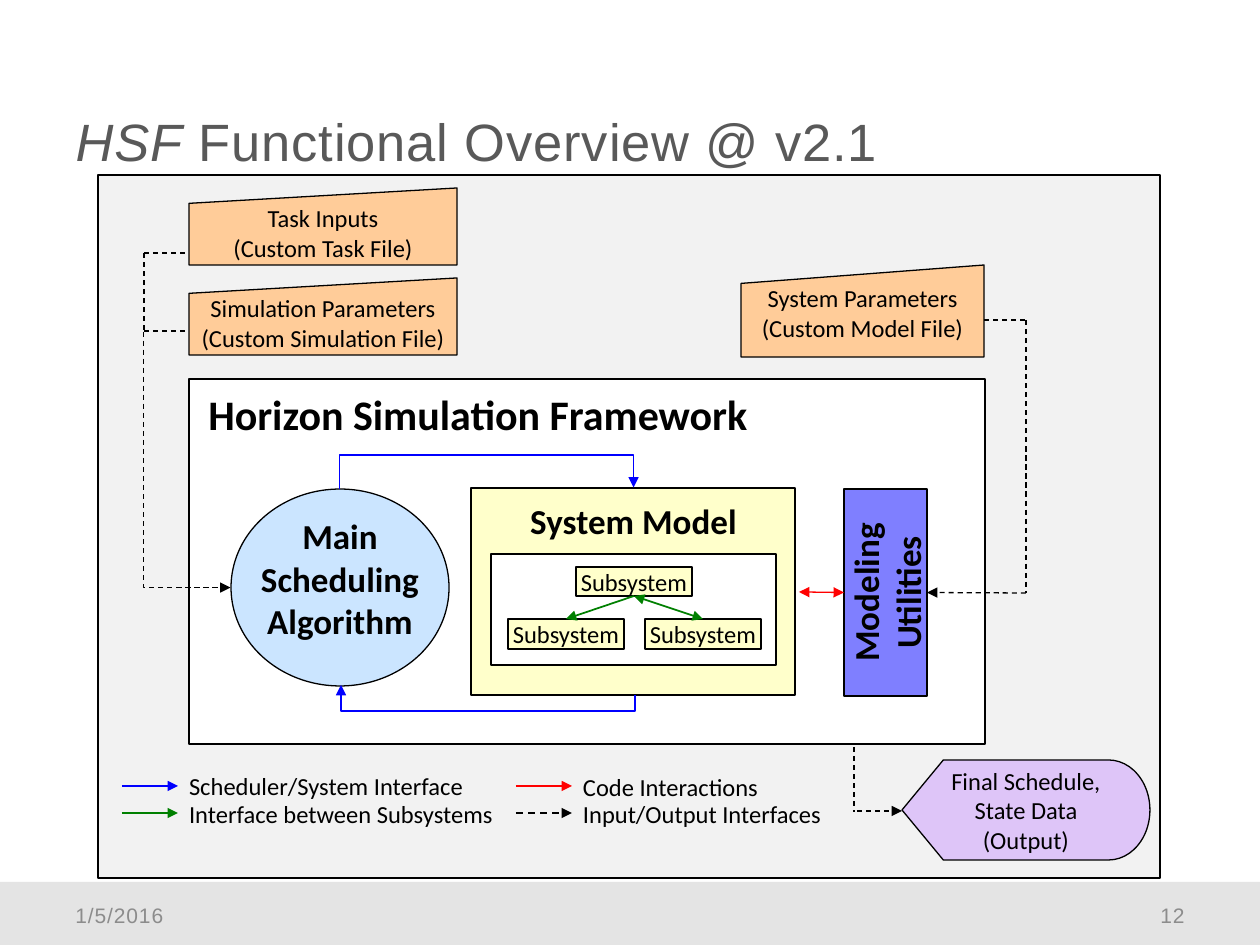
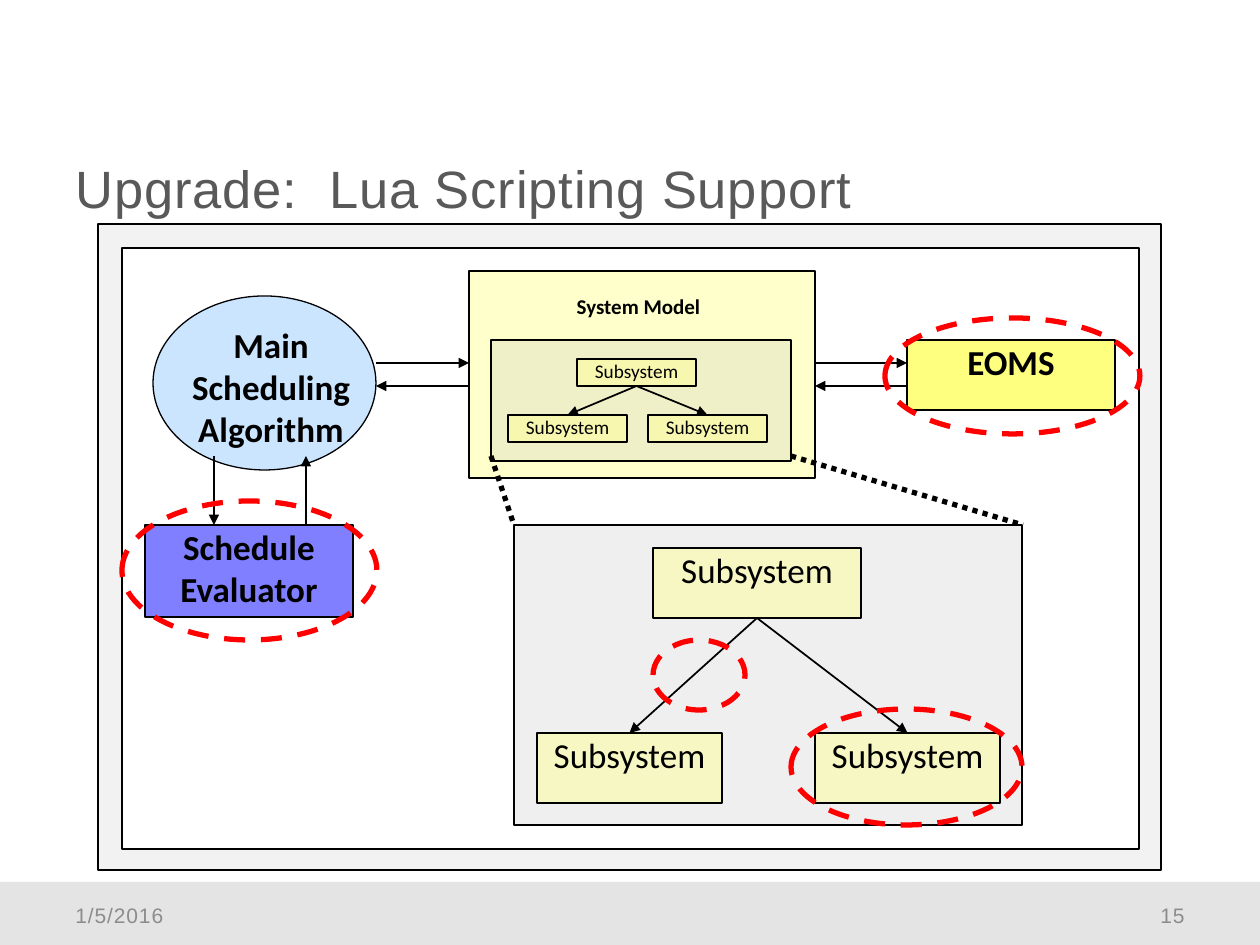
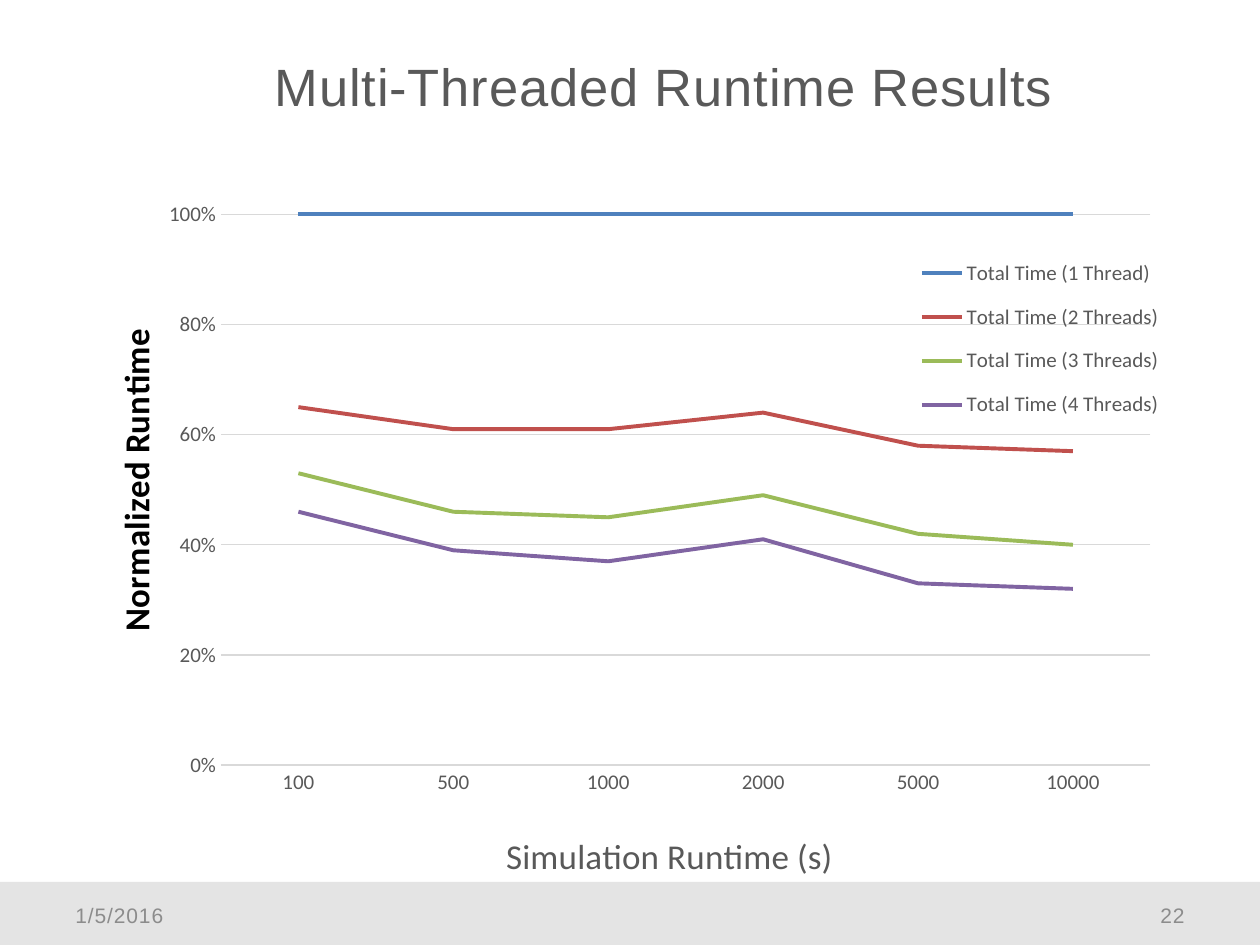
from dataclasses import dataclass
from lxml import etree
from pptx import Presentation
from pptx.chart.data import CategoryChartData
from pptx.dml.color import RGBColor
from pptx.enum.chart import XL_CHART_TYPE, XL_LEGEND_POSITION, XL_TICK_MARK
from pptx.enum.dml import MSO_LINE
from pptx.enum.shapes import MSO_CONNECTOR, MSO_SHAPE as FORM
from pptx.enum.text import MSO_ANCHOR, MSO_AUTO_SIZE, PP_ALIGN as ALIGN
from pptx.oxml.ns import qn
from pptx.util import Inches, Pt

EMU_PER_PX = 914400 / 126

COLORS = {
    "band": "E4E4E4", "title": "595959", "footer": "8C8C8C", "grid": "D9D9D9",
    "black": "000000", "white": "FFFFFF", "silver": "C0C0C0", "sky": "99CCFF",
    "peach": "FFCC99", "violet": "CC99FF", "cream": "FFFF99", "yellow": "FFFF00",
    "blue": "0000FF", "green": "008000", "red": "FF0000",
}


@dataclass
class Style:
    form: object = FORM.RECTANGLE
    fill: str = ""
    alpha: int = 100
    size: int = 14
    bold: bool = False
    align: object = ALIGN.CENTER
    inset: tuple = (0, 0, 0, 0)
    vert: str = ""


PADDED = (13, 6, 13, 6)
STYLES = {
    "backdrop": Style(fill="silver", alpha=20),
    "frame": Style(fill="white"),
    "inset": Style(fill="silver", alpha=25),
    "scheduler": Style(FORM.FLOWCHART_CONNECTOR, "sky", 50),
    "input": Style(FORM.FLOWCHART_MANUAL_INPUT, "peach"),
    "output": Style(FORM.FLOWCHART_DISPLAY, "violet", 50, inset=(0, 6, 0, 0)),
    "model": Style(fill="cream", alpha=50),
    "small model": Style(fill="cream", alpha=50, size=11),
    "large model": Style(fill="cream", alpha=50, size=20),
    "utility": Style(fill="blue", alpha=50, size=20, bold=True, vert="vert270"),
    "evaluator": Style(fill="blue", alpha=50, size=20, bold=True),
    "equations": Style(fill="yellow", alpha=50, size=20, bold=True),
    "key": Style(None, align=ALIGN.LEFT),
    "heading": Style(None, size=24, bold=True, inset=PADDED),
    "wrapped": Style(None, size=20, bold=True, inset=PADDED),
    "caption": Style(None, size=20, bold=True),
    "small caption": Style(None, size=12, bold=True),
}

OVERVIEW = {
    "backdrop": ("backdrop", (98, 175, 1062, 703), ""),
    "framework": ("frame", (189, 379, 796, 365), ""),
    "framework name": ("heading", (166, 383, 624, 53), "Horizon Simulation Framework"),
    "scheduler": ("scheduler", (231, 489, 218, 197), ""),
    "scheduler name": ("wrapped", (239, 509, 202, 140), "Main Scheduling Algorithm"),
    "task": ("input", (189, 188, 268, 77), "Task Inputs\n(Custom Task File)"),
    "simulation": ("input", (189, 278, 268, 77),
                   "Simulation Parameters (Custom Simulation File)"),
    "system": ("input", (741, 265, 243, 92), "System Parameters (Custom Model File)"),
    "output": ("output", (902, 760, 248, 100), "Final Schedule, State Data (Output)"),
    "model": ("model", (471, 488, 324, 207), ""),
    "model name": ("caption", (489, 500, 289, 40), "System Model"),
    "subsystems": ("frame", (491, 554, 285, 111), ""),
    "parent": ("model", (576, 567, 116, 29), "Subsystem"),
    "left child": ("model", (508, 619, 116, 30), "Subsystem"),
    "right child": ("model", (645, 619, 116, 30), "Subsystem"),
    "utilities": ("utility", (844, 489, 83, 207), "Modeling Utilities"),
    "scheduler key": ("key", (189, 771, 319, 29), "Scheduler/System Interface"),
    "subsystem key": ("key", (189, 799, 319, 31), "Interface between Subsystems"),
    "code key": ("key", (583, 772, 251, 28), "Code Interactions"),
    "file key": ("key", (583, 799, 251, 28), "Input/Output Interfaces"),
}
OVERVIEW_LINKS = [
    (("parent", 2), ("left child", 0), "green", 1, None, "tail"),
    (("parent", 2), ("right child", 0), "green", 1, None, "both"),
    ((799, 592), ("utilities", 1), "red", 0.75, None, "both"),
    ((144, 253), (189, 253), "black", 0.75, MSO_LINE.DASH, ""),
    ((144, 331), (189, 331), "black", 0.75, MSO_LINE.DASH, ""),
    ((144, 253), (144, 331), "black", 0.75, MSO_LINE.DASH, ""),
    ((984, 320), (1026, 320), "black", 0.75, MSO_LINE.DASH, ""),
    ((1026, 320), (1026, 593), "black", 0.75, MSO_LINE.DASH, ""),
    ((1026, 593), ("utilities", 3), "black", 0.75, MSO_LINE.DASH, "tail"),
    ((854, 747), (854, 812), "black", 0.75, MSO_LINE.DASH, ""),
    ((857, 811), (902, 811), "black", 0.75, MSO_LINE.DASH, "tail"),
    ((122, 786), (178, 786), "blue", 1, None, "tail"),
    ((122, 813), (178, 813), "green", 1, None, "tail"),
    ((516, 786), (572, 786), "red", 1, None, "tail"),
    ((516, 813), (572, 813), "black", 1, MSO_LINE.DASH, "tail"),
]
OVERVIEW_ELBOWS = [
    ("bentConnector3", (486, 341, 1, 294), "", 34, "blue", 1, None),
    ("bentConnector3", (483, 543, 10, 294), "flipV", -1.6, "blue", 1, None),
    ("bentConnector2", (59, 416, 256, 87), "flipH", None, "black", 0.75, MSO_LINE.DASH),
]

SCRIPTING = {
    "backdrop": ("backdrop", (98, 224, 1063, 646), ""),
    "framework": ("frame", (122, 248, 1017, 601), ""),
    "model": ("model", (469, 271, 346, 207), ""),
    "model name": ("small caption", (491, 294, 295, 36), "System Model"),
    "subsystems": ("inset", (491, 340, 300, 121), ""),
    "parent": ("small model", (577, 359, 119, 27), "Subsystem"),
    "left child": ("small model", (508, 415, 119, 27), "Subsystem"),
    "right child": ("small model", (648, 415, 119, 27), "Subsystem"),
    "equations": ("equations", (907, 340, 208, 70), "EOMS"),
    "scheduler": ("scheduler", (153, 296, 223, 174), ""),
    "scheduler name": ("wrapped", (168, 318, 206, 125), "Main Scheduling Algorithm"),
    "evaluator": ("evaluator", (145, 525, 208, 92), "Schedule\nEvaluator"),
    "detail": ("inset", (514, 525, 508, 300), ""),
    "large parent": ("large model", (653, 548, 208, 70), "Subsystem"),
    "large left child": ("large model", (537, 733, 185, 70), "Subsystem"),
    "large right child": ("large model", (815, 733, 185, 70), "Subsystem"),
}
SCRIPTING_LINKS = [
    (("parent", 2), ("left child", 0), "black", 1, None, "tail"),
    (("parent", 2), ("right child", 0), "black", 1, None, "tail"),
    (("large parent", 2), ("large left child", 0), "black", 1, None, "tail"),
    (("large parent", 2), ("large right child", 0), "black", 1, None, "tail"),
    ((815, 363), (907, 363), "black", 1, None, "tail"),
    ((907, 386), (815, 386), "black", 1, None, "tail"),
    ((376, 363), (469, 363), "black", 0.75, None, "tail"),
    ((469, 386), (376, 386), "black", 0.75, None, "tail"),
    ((214, 456), (214, 525), "black", 0.75, None, "tail"),
    ((306, 525), (306, 456), "black", 0.75, None, "tail"),
    ((491, 456), (514, 525), "black", 3, MSO_LINE.ROUND_DOT, ""),
    ((791, 456), (1023, 525), "black", 3, MSO_LINE.ROUND_DOT, ""),
]
RINGS = [(122, 501, 255, 139), (885, 318, 255, 116), (791, 709, 231, 116), (653, 640, 92, 70)]

RUNTIMES = ["100", "500", "1000", "2000", "5000", "10000"]
SERIES = [
    ("Total Time (1 Thread)", "4F81BD", (1, 1, 1, 1, 1, 1)),
    ("Total Time (2 Threads)", "C0504D", (0.65, 0.61, 0.61, 0.64, 0.58, 0.57)),
    ("Total Time (3 Threads)", "9BBB59", (0.53, 0.46, 0.45, 0.49, 0.42, 0.4)),
    ("Total Time (4 Threads)", "8064A2", (0.46, 0.39, 0.37, 0.41, 0.33, 0.32)),
]


def px(*lengths):
    return [round(length * EMU_PER_PX) for length in lengths]


def rgb(name):
    return RGBColor.from_string(COLORS.get(name, name))


def set_font(font, size, color, bold=False, name="Calibri"):
    font.name, font.size, font.bold = name, Pt(size), bold
    font.color.rgb = rgb(color)


def set_line(line, color, weight, dash=None):
    line.color.rgb = rgb(color)
    line.width = Pt(weight)
    if dash:
        line.dash_style = dash


def set_insets(frame, inset):
    (frame.margin_left, frame.margin_top,
     frame.margin_right, frame.margin_bottom) = px(*inset)


def space_letters(shape):
    for properties in shape.element.iter(qn("a:rPr")):
        properties.set("spc", "50")


def add_footer(page, left, text, align):
    box = page.shapes.add_textbox(*px(left, 890, 294, 50))
    frame = box.text_frame
    frame.word_wrap = True
    frame.vertical_anchor = MSO_ANCHOR.MIDDLE
    frame.text = text
    para = frame.paragraphs[0]
    para.alignment = align
    set_font(para.runs[0].font, 12, "footer", name="Arial")
    space_letters(box)


def add_page(deck, number, title_box, spans):
    page = deck.slides.add_slide(deck.slide_layouts[5])
    title = page.shapes.title
    title.left, title.top, title.width, title.height = px(*title_box)
    frame = title.text_frame
    frame.auto_size = MSO_AUTO_SIZE.NONE
    frame.vertical_anchor = MSO_ANCHOR.MIDDLE
    para = frame.paragraphs[0]
    para.alignment, para.line_spacing = ALIGN.LEFT, 1.2
    for text, italic in spans:
        span = para.add_run()
        span.text = text
        set_font(span.font, 30, "title", name="Arial")
        span.font.italic = italic
    space_letters(title)
    add_footer(page, 63, "1/5/2016", ALIGN.LEFT)
    add_footer(page, 903, number, ALIGN.RIGHT)
    return page


def add_band(deck, page):
    band = page.shapes.add_shape(FORM.RECTANGLE, *px(0, 882, 1260, 63))
    band.shadow.inherit = False
    band.fill.solid()
    band.fill.fore_color.rgb = rgb("band")
    band.line.fill.background()
    deck.slide_master.shapes.element.insert(2, band.element)


def add_box(page, style_name, bounds, text):
    style = STYLES[style_name]
    if style.form is None:
        box = page.shapes.add_textbox(*px(*bounds))
    else:
        box = page.shapes.add_shape(style.form, *px(*bounds))
        box.shadow.inherit = False
        box.fill.solid()
        box.fill.fore_color.rgb = rgb(style.fill)
        if style.alpha < 100:
            color = box.element.find(".//" + qn("a:srgbClr"))
            etree.SubElement(color, qn("a:alpha"), val=str(style.alpha * 1000))
        set_line(box.line, "black", 0.75)
    if text:
        frame = box.text_frame
        frame.word_wrap = True
        frame.vertical_anchor = MSO_ANCHOR.TOP
        set_insets(frame, style.inset)
        if style.vert:
            box.element.find(".//" + qn("a:bodyPr")).set("vert", style.vert)
        frame.text = text
        for para in frame.paragraphs:
            para.alignment = style.align
            set_font(para.runs[0].font, style.size, "black", style.bold)
    return box


def finish_link(link, color, weight, dash, arrows):
    set_line(link.line, color, weight, dash)
    outline = link.element.spPr.find(qn("a:ln"))
    if arrows == "both":
        etree.SubElement(outline, qn("a:headEnd"), type="triangle")
    if arrows:
        etree.SubElement(outline, qn("a:tailEnd"), type="triangle")
    etree.SubElement(link.element.spPr, qn("a:effectLst"))


def add_link(page, boxes, start, end, color, weight, dash, arrows):
    points = [(0, 0) if isinstance(point[0], str) else point for point in (start, end)]
    link = page.shapes.add_connector(MSO_CONNECTOR.STRAIGHT, *px(*points[0], *points[1]))
    for point, connect in ((start, link.begin_connect), (end, link.end_connect)):
        if isinstance(point[0], str):
            connect(boxes[point[0]], point[1])
    finish_link(link, color, weight, dash, arrows)


def add_elbow(page, preset, bounds, flip, bend, color, weight, dash):
    left, top, width, height = bounds
    link = page.shapes.add_connector(
        MSO_CONNECTOR.ELBOW, *px(left, top, left + width, top + height))
    frame = link.element.spPr.find(qn("a:xfrm"))
    frame.set("rot", "16200000")
    if flip:
        frame.set(flip, "1")
    geometry = link.element.spPr.find(qn("a:prstGeom"))
    geometry.set("prst", preset)
    if bend is not None:
        guides = geometry.find(qn("a:avLst"))
        if guides is None:
            guides = etree.SubElement(geometry, qn("a:avLst"))
        etree.SubElement(guides, qn("a:gd"), name="adj1", fmla=f"val {round(bend * 100000)}")
    finish_link(link, color, weight, dash, "tail")


def add_diagram(page, items, links):
    boxes = {name: add_box(page, *item) for name, item in items.items()}
    for link in links:
        add_link(page, boxes, *link)


def add_ring(page, bounds):
    ring = page.shapes.add_shape(FORM.OVAL, *px(*bounds))
    ring.shadow.inherit = False
    ring.fill.background()
    set_line(ring.line, "red", 3, MSO_LINE.DASH)


def place(part, index, **settings):
    layout = part.find(qn("c:layout"))
    if layout is None:
        layout = etree.Element(qn("c:layout"))
        part.insert(index, layout)
    manual = etree.SubElement(layout, qn("c:manualLayout"))
    for name, value in settings.items():
        etree.SubElement(manual, qn("c:" + name), val=str(value))


def format_axis(axis, title, color, bold):
    axis.major_tick_mark = axis.minor_tick_mark = XL_TICK_MARK.NONE
    set_font(axis.tick_labels.font, 12, "title")
    frame = axis.axis_title.text_frame
    frame.text = title
    set_font(frame.paragraphs[0].runs[0].font, 20, color, bold)


def add_runtime_chart(page):
    data = CategoryChartData(number_format="0%")
    data.categories = RUNTIMES
    for name, _, values in SERIES:
        data.add_series(name, values)
    chart = page.shapes.add_chart(XL_CHART_TYPE.LINE, *px(35, 137, 1162, 752), data).chart
    set_font(chart.font, 10, "black")
    chart.has_title = False
    plot = chart.plots[0]
    plot.vary_by_categories = False
    for series, (_, color, _) in zip(plot.series, SERIES):
        series.smooth = False
        set_line(series.format.line, color, 2.25)

    across, upward = chart.category_axis, chart.value_axis
    format_axis(across, "Simulation Runtime (s)", "title", False)
    format_axis(upward, "Normalized Runtime", "black", True)
    across.has_major_gridlines = False
    set_line(across.format.line, "grid", 0.75)
    upward.format.line.fill.background()
    upward.minimum_scale, upward.maximum_scale, upward.major_unit = 0, 1.1, 0.2
    upward.tick_labels.number_format = "0%"
    upward.tick_labels.number_format_is_linked = False
    set_line(upward.major_gridlines.format.line, "grid", 0.75)

    chart.has_legend = True
    chart.legend.position = XL_LEGEND_POSITION.BOTTOM
    chart.legend.include_in_layout = False
    set_font(chart.legend.font, 12, "title")

    across_title, upward_title = chart.element.iter(qn("c:title"))
    upward_title.find(".//" + qn("a:bodyPr")).set("rot", "-5400000")
    edge = {"xMode": "edge", "yMode": "edge"}
    place(across_title, 1, **edge, x=0.4, y=0.92)
    place(upward_title, 1, **edge, x=0.06, y=0.25)
    place(chart.element.find(".//" + qn("c:legend")), 1, **edge, x=0.76, y=0.14, w=0.21, h=0.26)
    place(chart.element.find(".//" + qn("c:plotArea")), 0, layoutTarget="inner", **edge,
          x=0.16, y=0.03, w=0.8, h=0.81)


def main():
    deck = Presentation()
    deck.slide_width, deck.slide_height = Inches(10), Inches(7.5)

    overview = add_page(deck, "12", (63, 55, 1134, 158),
                        [("HSF", True), (" Functional Overview @ v2.1", False)])
    add_band(deck, overview)
    add_diagram(overview, OVERVIEW, OVERVIEW_LINKS)
    for elbow in OVERVIEW_ELBOWS:
        add_elbow(overview, *elbow)

    scripting = add_page(deck, "15", (63, 102, 1134, 158),
                         [("Upgrade:  Lua Scripting Support", False)])
    add_diagram(scripting, SCRIPTING, SCRIPTING_LINKS)
    for ring in RINGS:
        add_ring(scripting, ring)

    results = add_page(deck, "22", (262, 0, 828, 158),
                       [("Multi-Threaded Runtime Results", False)])
    add_runtime_chart(results)
    deck.save("out.pptx")


if __name__ == "__main__":
    main()
